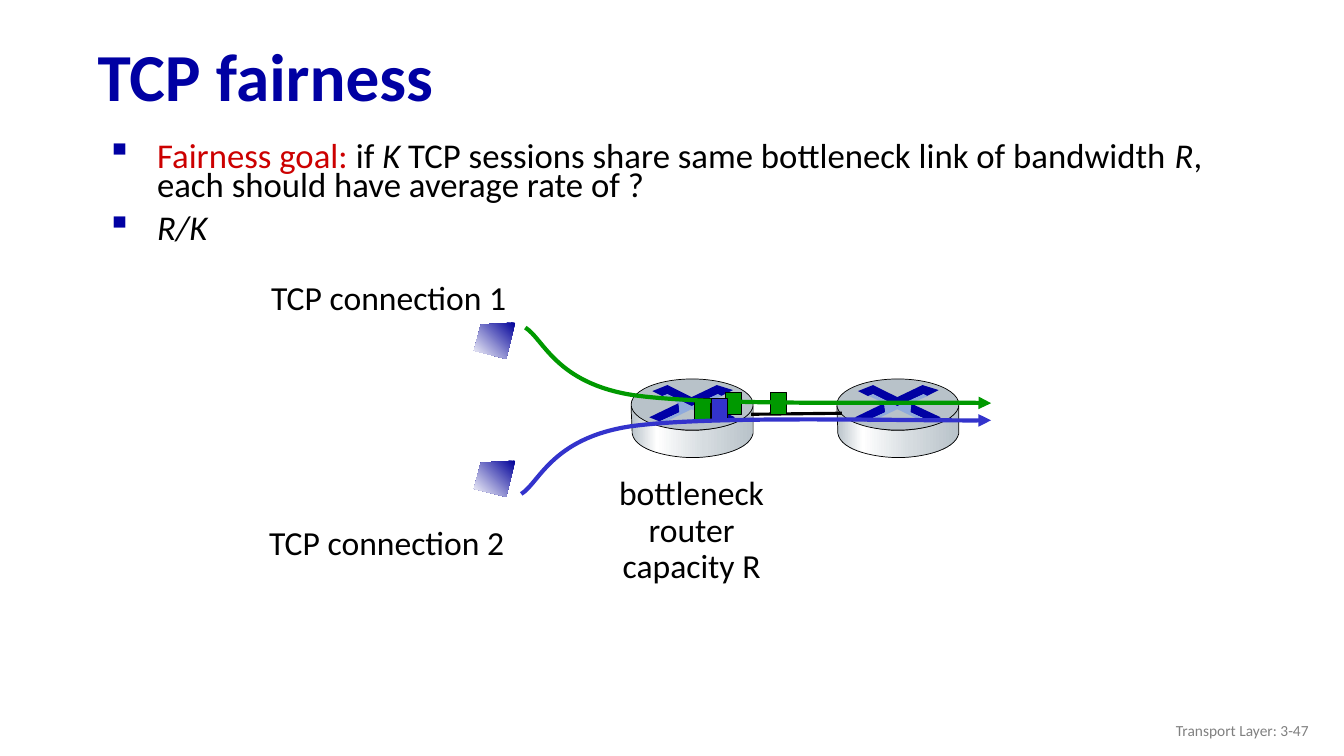
from lxml import etree
from pptx import Presentation
from pptx import util as u
from pptx.dml.color import RGBColor
from pptx.enum import shapes, text
from pptx.oxml import parse_xml
from pptx.oxml.ns import nsdecls, qn

COLORS = {
    "navy": "0000A3", "deep": "0000A8", "host": "000099", "red": "CC0000",
    "green": "009900", "blue": "3333CC", "sky": "8FAADC", "steel": "B8C2C9",
    "silver": "D6DCE0", "white": "FFFFFF", "black": "000000", "gray": "808080",
}
FONT = "Calibri"
METAL = [(0, "steel"), (21, "white"), (60, "silver"), (100, "steel")]
GLOW = [(0, "host"), (100, "white")]

# Outlines are points on a grid; a step of three points is a Bezier curve.
ROUTER_GRID = (121, 78)
ROUTER_SIDE = [
    (121, 27), (121, 54), ((117, 72), (81, 78), (61, 78)),
    ((41, 78), (4, 72), (1, 54)), ((1, 47), (0, 34), (0, 27)),
    ((6, 43), (40, 51), (60, 51)), ((80, 51), (115, 45), (121, 27)),
]
ROUTER_MARKS = [
    ("navy", [(85, 6), (101, 11), (89, 17), (86, 15), (60, 27), (36, 15),
              (31, 17), (21, 12), (36, 6), (60, 18)]),
    ("navy", [(73, 24), (103, 38), (93, 42), (73, 33)]),
    ("deep", [(47, 24), (48, 33), (28, 42), (18, 38)]),
    ("sky", [(31, 17), (36, 15), (60, 27), (86, 15), (90, 17), (74, 24),
             (73, 33), (92, 42), (87, 43), (60, 30), (33, 43), (29, 42),
             (48, 33), ((48, 30), (47, 27), (47, 24)), (32, 17)]),
]
HOST_GRID = (41, 36)
HOST_SIDE = [(41, 0), (7, 2), (0, 28), (32, 36)]
FLOW_GRID = (466, 79)
FLOW_1 = [(0, 0), ((18, 11), (30, 55), (107, 67)), ((184, 78), (389, 73), (462, 75))]
FLOW_2 = [(0, 78), ((18, 67), (30, 23), (108, 11)), ((185, 0), (392, 6), (466, 5))]


def rgb(name):
    return RGBColor.from_string(COLORS[name])


def inches(box):
    return [u.Inches(length) for length in box]


def paint(shape, fill=None, line=None, width=0.5):
    shape.shadow.inherit = False
    if fill:
        shape.fill.solid()
        shape.fill.fore_color.rgb = rgb(fill)
    else:
        shape.fill.background()
    if line:
        shape.line.color.rgb = rgb(line)
        shape.line.width = u.Pt(width)
    else:
        shape.line.fill.background()


def paint_gradient(shape, stops, angle):
    marks = "".join(
        f'<a:gs pos="{share * 1000}"><a:srgbClr val="{COLORS[name]}"/></a:gs>'
        for share, name in stops)
    gradient = parse_xml(
        f'<a:gradFill {nsdecls("a")} rotWithShape="1"><a:gsLst>{marks}</a:gsLst>'
        f'<a:lin ang="{angle * 60000}" scaled="0"/></a:gradFill>')
    old = shape._element.spPr.find(qn("a:noFill"))
    old.getparent().replace(old, gradient)


def add_outline(page, box, grid, steps, closed=True, **style):
    """Draw the steps, scaled from the grid to the box, with true curves."""
    left, top, width, height = inches(box)
    steps = [step if isinstance(step[0], tuple) else (step,) for step in steps]
    points = [(left + x * width / grid[0], top + y * height / grid[1])
              for step in steps for x, y in step]
    builder = page.shapes.build_freeform(*points[0], scale=1.0)
    builder.add_line_segments(points[1:], close=closed)
    shape = builder.convert_to_shape()
    paint(shape, **style)
    segments = iter(list(shape._element.iter(qn("a:lnTo"))))
    for step in steps[1:]:
        parts = [next(segments) for _ in step]
        if len(parts) == 3:
            curve = etree.Element(qn("a:cubicBezTo"))
            parts[0].addprevious(curve)
            for part in parts:
                curve.append(part[0])
                part.getparent().remove(part)
    return shape


def add_router(page, box):
    left, top, width, height = box
    side = add_outline(page, box, ROUTER_GRID, ROUTER_SIDE, line="black")
    paint_gradient(side, METAL, 0)
    lid = page.shapes.add_shape(shapes.MSO_SHAPE.OVAL,
                                *inches((left, top, width, height * 0.65)))
    paint(lid, "steel", "black")
    for color, steps in ROUTER_MARKS:
        add_outline(page, box, ROUTER_GRID, steps, fill=color)


def add_host(page, box):
    paint_gradient(add_outline(page, box, HOST_GRID, HOST_SIDE), GLOW, 135)


def add_flow(page, box, steps, color):
    flow = add_outline(page, box, FLOW_GRID, steps, closed=False, line=color, width=3)
    etree.SubElement(flow.line._get_or_add_ln(), qn("a:tailEnd"), type="triangle")


def add_packet(page, left, top, color):
    packet = page.shapes.add_shape(shapes.MSO_SHAPE.RECTANGLE,
                                   *inches((left, top, 0.16, 0.22)))
    paint(packet, color, "black", 0.75)


def add_bullet(para):
    props = para._p.get_or_add_pPr()
    props.set("marL", str(u.Inches(0.5)))
    props.set("indent", str(-u.Inches(0.5)))
    color = etree.SubElement(props, qn("a:buClr"))
    etree.SubElement(color, qn("a:srgbClr"), val=COLORS["navy"])
    etree.SubElement(props, qn("a:buChar"), char="▪")


def add_text(page, box, paras, size=24, color="black", bold=False, wrap=True,
             middle=False, align=text.PP_ALIGN.LEFT, spacing=1.0, before=0, bullet=False):
    """Each paragraph is a list of (words, format) spans."""
    frame = page.shapes.add_textbox(*inches(box)).text_frame
    frame.word_wrap = wrap
    frame.vertical_anchor = text.MSO_ANCHOR.MIDDLE if middle else text.MSO_ANCHOR.TOP
    for index, spans in enumerate(paras):
        para = frame.add_paragraph() if index else frame.paragraphs[0]
        if bullet:
            add_bullet(para)
        para.alignment = align
        para.line_spacing = spacing
        if index:
            para.space_before = u.Pt(before)
        for words, style in spans:
            span = para.add_run()
            span.text = words
            span.font.name = FONT
            span.font.size = u.Pt(size)
            span.font.bold = bold
            span.font.italic = style.get("italic", False)
            span.font.color.rgb = rgb(style.get("color", color))


def add_heading(page):
    add_text(page, (0.87, 0.3, 12.46, 0.98), [[("TCP fairness", {})]], size=48,
             color="navy", bold=True, middle=True, spacing=0.9)
    italic = {"italic": True}
    goal = [("Fairness goal:", {"color": "red"}), (" if", {}), (" K ", italic),
            ("TCP sessions share same bottleneck link of bandwidth ", {}),
            ("R", italic), (", each should have average rate of ?", {})]
    add_text(page, (0.96, 1.39, 11.13, 1.19), [goal, [("R/K", italic)]],
             size=24.8, spacing=0.7, before=10, bullet=True)


def add_network(page, left, top):
    """Two hosts send through the bottleneck router and on to the next one."""
    for column in (5.73, 3.69):
        add_router(page, (left + column, top + 1.06, 1.21, 0.78))
    link = page.shapes.add_connector(
        shapes.MSO_CONNECTOR.STRAIGHT,
        *inches((left + 4.88, top + 1.41, left + 5.78, top + 1.4)))
    link.line.color.rgb = rgb("black")
    link.line.width = u.Pt(2.25)
    etree.SubElement(link._element.spPr, qn("a:effectLst"))
    for column, row in ((5.07, 1.19), (4.32, 1.25), (4.63, 1.19)):
        add_packet(page, left + column, top + row, "green")
    add_flow(page, (left + 2.64, top + 0.55, 4.66, 0.79), FLOW_1, "green")
    add_packet(page, left + 4.49, top + 1.25, "blue")
    add_flow(page, (left + 2.6, top + 1.42, 4.66, 0.79), FLOW_2, "blue")
    for row in (0.5, 1.87):
        add_host(page, (left + 2.13, top + row, 0.41, 0.36))
    for number, column, row in ((1, 0.02, 0), (2, 0, 2.43)):
        add_text(page, (left + column, top + row, 2.56, 0.5),
                 [[(f"TCP connection {number}", {})]], wrap=False)
    add_text(page, (left + 3.46, top + 1.98, 1.66, 1.19),
             [[(words, {})] for words in ("bottleneck", "router", "capacity R")],
             wrap=False, align=text.PP_ALIGN.CENTER, spacing=0.9)


def add_footer(page):
    add_text(page, (10.08, 7.05, 3, 0.4), [[("Transport Layer: 3-47", {})]], size=11,
             color="gray", middle=True, align=text.PP_ALIGN.RIGHT)


def main():
    deck = Presentation()
    deck.slide_width, deck.slide_height = inches((13.33, 7.5))
    page = deck.slides.add_slide(deck.slide_layouts[6])
    add_heading(page)
    add_network(page, 2.57, 2.7)
    add_footer(page)
    deck.save("out.pptx")


if __name__ == "__main__":
    main()
